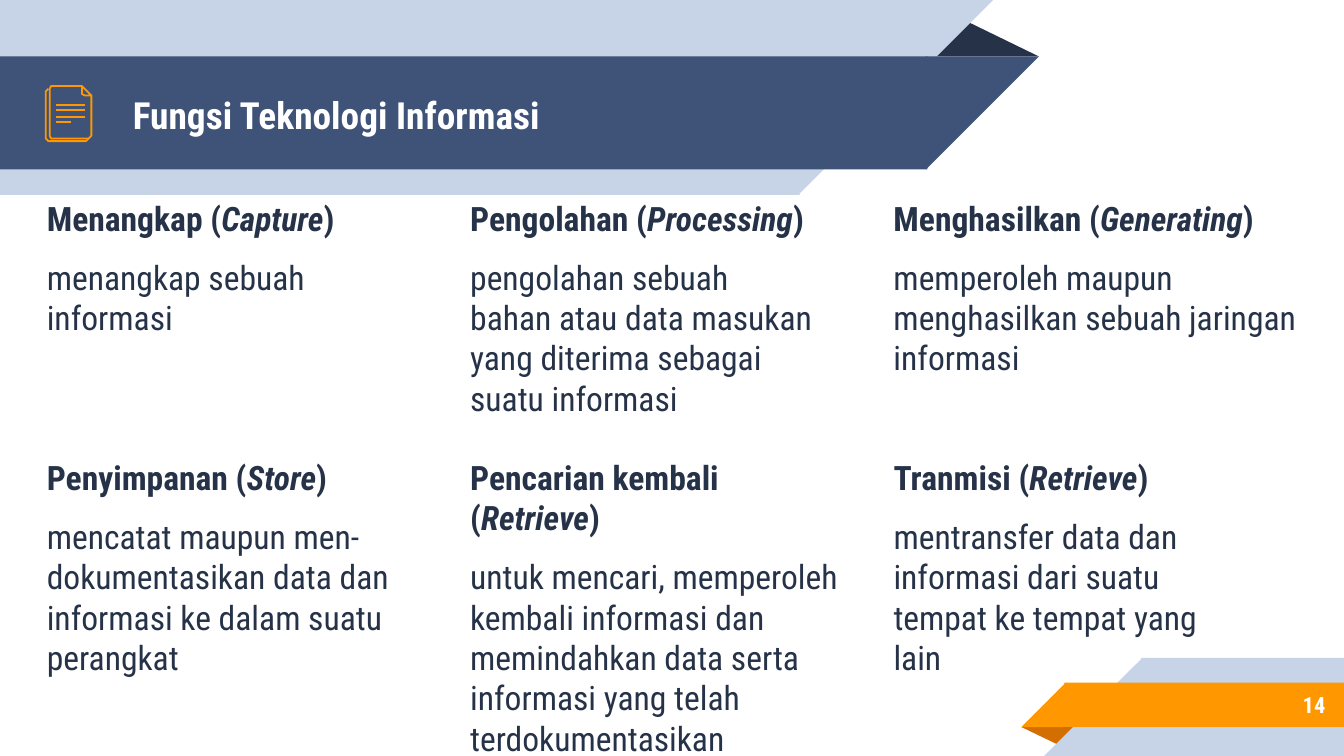
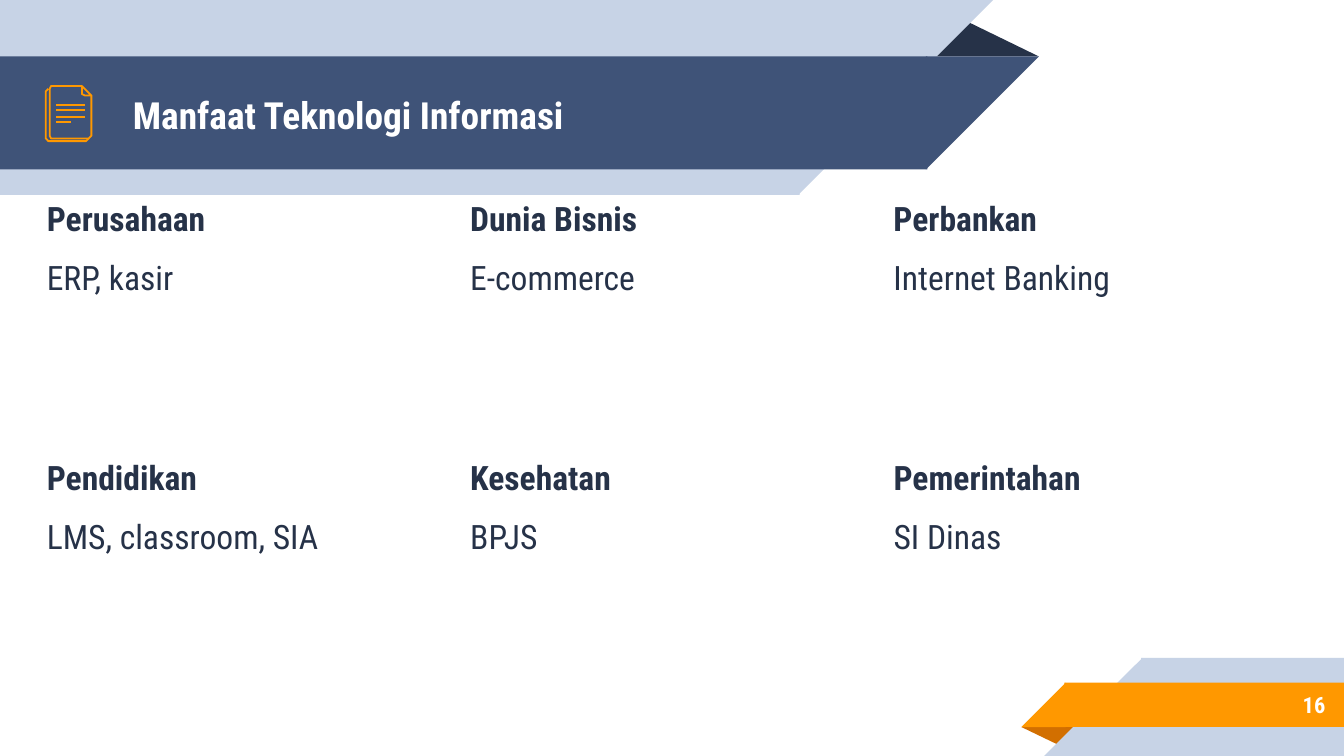
"""Build two slides on the functions and benefits of information technology."""
from dataclasses import dataclass

from lxml.etree import SubElement
from pptx import Presentation
from pptx.dml.color import RGBColor
from pptx.enum.shapes import MSO_CONNECTOR, MSO_SHAPE
from pptx.enum.text import MSO_ANCHOR, PP_ALIGN
from pptx.oxml.ns import qn
from pptx.util import Inches, Pt

PAGES = [
    ("Fungsi Teknologi Informasi", "14", [
        ("Menangkap (*Capture*)", "menangkap sebuah informasi"),
        ("Pengolahan (*Processing*)",
         "pengolahan sebuah bahan atau data masukan yang diterima sebagai suatu informasi"),
        ("Menghasilkan (*Generating*)",
         "memperoleh maupun menghasilkan sebuah jaringan informasi"),
        ("Penyimpanan (*Store*)",
         "mencatat maupun men- dokumentasikan data dan informasi ke dalam suatu perangkat"),
        ("Pencarian kembali (*Retrieve*)",
         "untuk mencari, memperoleh kembali informasi dan memindahkan data serta "
         "informasi yang telah terdokumentasikan"),
        ("Tranmisi (*Retrieve*)",
         "mentransfer data dan informasi dari suatu tempat ke tempat yang lain"),
    ]),
    ("Manfaat Teknologi Informasi", "16", [
        ("Perusahaan", "ERP, kasir"),
        ("Dunia Bisnis", "E-commerce"),
        ("Perbankan", "Internet Banking"),
        ("Pendidikan", "LMS, classroom, SIA"),
        ("Kesehatan", "BPJS"),
        ("Pemerintahan", "SI Dinas"),
    ]),
]


@dataclass(frozen=True)
class Theme:
    font: str = "Roboto Condensed"
    ink: str = "263248"
    navy: str = "3F5378"
    pale: str = "C7D3E6"
    gold: str = "FF9800"
    rust: str = "D26F00"
    white: str = "FFFFFF"
    title: int = 20
    body: int = 18
    number: int = 12
    stroke: float = 0.96


THEME = Theme()
WIDE = 10
HIGH = WIDE * 9 / 16
LEFT, TOP, STEP, DROP, TALL = 0.25, 1.37, 3.15, 1.93, 2.03
WIDTHS = [2.75, 2.75, 3.2, 2.75, 2.98, 2.75]
LAP = 0.01

BACK = [(0.66, 1.03), (0.64, 1.05), (0.36, 1.05), (0.34, 1.03), (0.34, 0.68), (0.36, 0.66)]
FRONT = [(0.68, 0.71), (0.68, 1.01), (0.66, 1.03), (0.38, 1.03),
         (0.37, 1.01), (0.37, 0.66), (0.38, 0.64), (0.61, 0.64)]
FOLD = [(0.61, 0.64), (0.68, 0.71), (0.63, 0.71), (0.61, 0.7)]
RULES = [(0.63, 0.78), (0.63, 0.82), (0.63, 0.87), (0.53, 0.91)]


def inches(*sizes):
    return [Inches(size) for size in sizes]


def write(box, text, size=THEME.body, color=THEME.ink, bold=True,
          align=PP_ALIGN.LEFT, before=0, after=0, more=False):
    frame = box.text_frame
    para = frame.add_paragraph() if more else frame.paragraphs[0]
    para.alignment = align
    para.space_before, para.space_after = Pt(before), Pt(after)
    for spot, part in enumerate(text.split("*")):
        run = para.add_run()
        run.text = part
        font = run.font
        font.name, font.size = THEME.font, Pt(size)
        font.bold, font.italic = bold, spot % 2 == 1
        font.color.rgb = RGBColor.from_string(color)


def add_box(slide, area, anchor=MSO_ANCHOR.TOP):
    box = slide.shapes.add_textbox(*inches(*area))
    frame = box.text_frame
    frame.word_wrap = True
    frame.vertical_anchor = anchor
    frame.margin_left = frame.margin_right = Inches(0.1)
    frame.margin_top = frame.margin_bottom = Inches(0.1)
    return box


def add_part(group, kind, area, color, turn=0):
    part = group.shapes.add_shape(kind, *inches(*area))
    part.shadow.inherit = False
    part.fill.solid()
    part.fill.fore_color.rgb = RGBColor.from_string(color)
    part.line.fill.background()
    part.rotation = turn
    return part


def add_fold(group, area, color, turn=0):
    fold = add_part(group, MSO_SHAPE.ISOSCELES_TRIANGLE, area, color, turn)
    fold.adjustments[0] = 0.324


def add_band(group, start, end, top, tall, color, head=True):
    left = start if head else start - LAP
    add_part(group, MSO_SHAPE.RECTANGLE, (left, top, end - start + LAP, tall), color)
    tip, turn = (end, 90) if head else (start - tall, 270)
    add_part(group, MSO_SHAPE.RIGHT_TRIANGLE, (tip, top, tall, tall), color, turn)


def draw(line):
    line.color.rgb = RGBColor.from_string(THEME.gold)
    line.width = Pt(THEME.stroke)


def add_icon(slide):
    icon = slide.shapes.add_group_shape()
    for points, close in [(BACK, False), (FRONT, False), (FOLD, True)]:
        spots = [inches(*point) for point in points]
        pen = icon.shapes.build_freeform(*spots[0])
        pen.add_line_segments(spots[1:], close=close)
        sheet = pen.convert_to_shape()
        sheet.shadow.inherit = False
        sheet.fill.background()
        draw(sheet.line)
    for end, level in RULES:
        rule = icon.shapes.add_connector(
            MSO_CONNECTOR.STRAIGHT, *inches(end, level, 0.42, level))
        draw(rule.line)
        SubElement(rule._element.spPr, qn("a:effectLst"))


def add_frame(slide, title, number):
    header = slide.shapes.add_group_shape()
    add_fold(header, (6.88, 0.14, 0.85, 0.28), THEME.ink)
    add_band(header, 0, 5.94, 0, 1.45, THEME.pale)
    add_band(header, 0, 6.89, 0.42, 0.84, THEME.navy)
    footer = slide.shapes.add_group_shape()
    add_fold(footer, (7.6, 5.41, 0.43, 0.14), THEME.rust, 180)
    add_band(footer, 8.5, WIDE, HIGH - 0.73, 0.73, THEME.pale, head=False)
    add_band(footer, 7.93, WIDE, 5.08, 0.33, THEME.gold, head=False)
    add_icon(slide)
    write(add_box(slide, (0.89, 0.43, 5.75, 0.84), MSO_ANCHOR.MIDDLE),
          title, size=THEME.title, color=THEME.white)
    write(add_box(slide, (8.33, 5.07, 1.63, 0.35), MSO_ANCHOR.MIDDLE),
          number, size=THEME.number, color=THEME.white, align=PP_ALIGN.RIGHT)


def add_items(slide, items):
    for spot, ((head, body), width) in enumerate(zip(items, WIDTHS)):
        row, col = divmod(spot, 3)
        box = add_box(slide, (LEFT + col * STEP, TOP + row * DROP, width, TALL))
        align = PP_ALIGN.LEFT if col else PP_ALIGN.JUSTIFY
        write(box, head, align=align, before=6)
        write(box, body, bold=False, before=10, after=10, more=True)


def main():
    deck = Presentation()
    deck.slide_width, deck.slide_height = inches(WIDE, HIGH)
    for title, number, items in PAGES:
        slide = deck.slides.add_slide(deck.slide_layouts[6])
        add_frame(slide, title, number)
        add_items(slide, items)
    deck.save("out.pptx")


if __name__ == "__main__":
    main()
